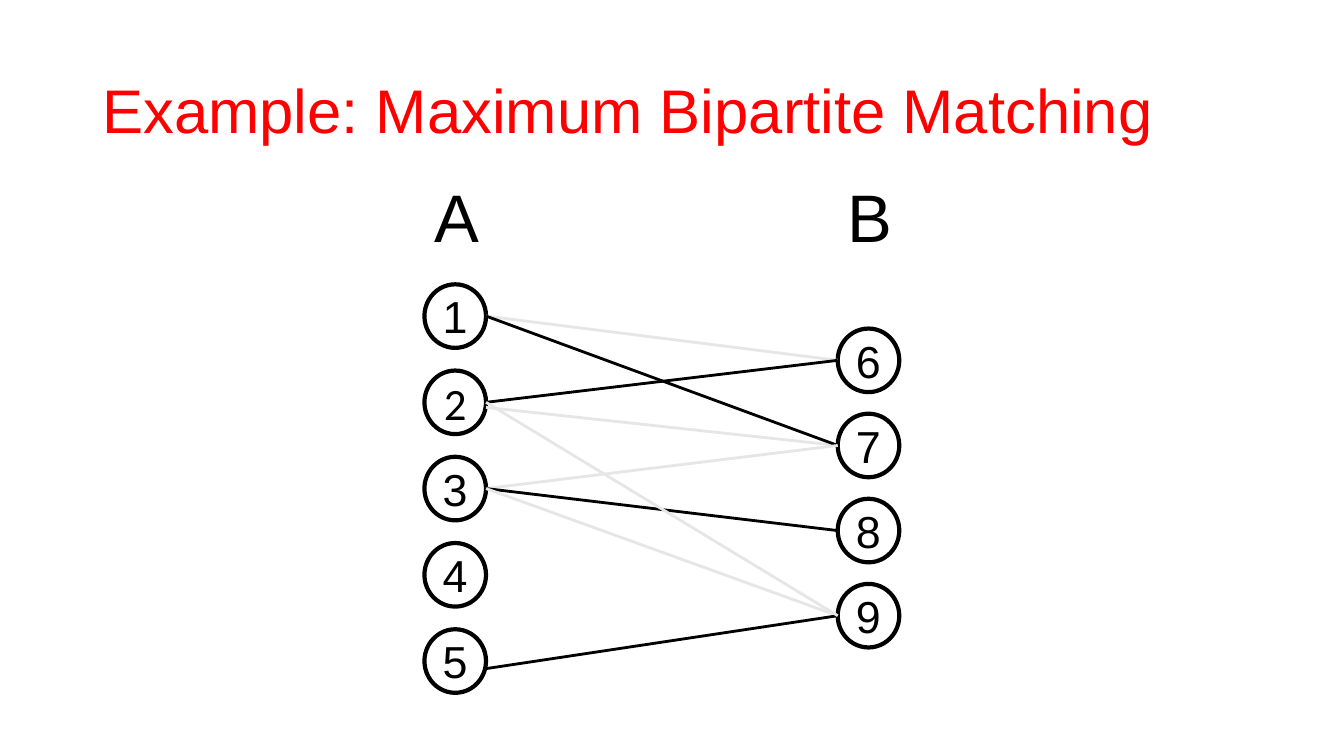
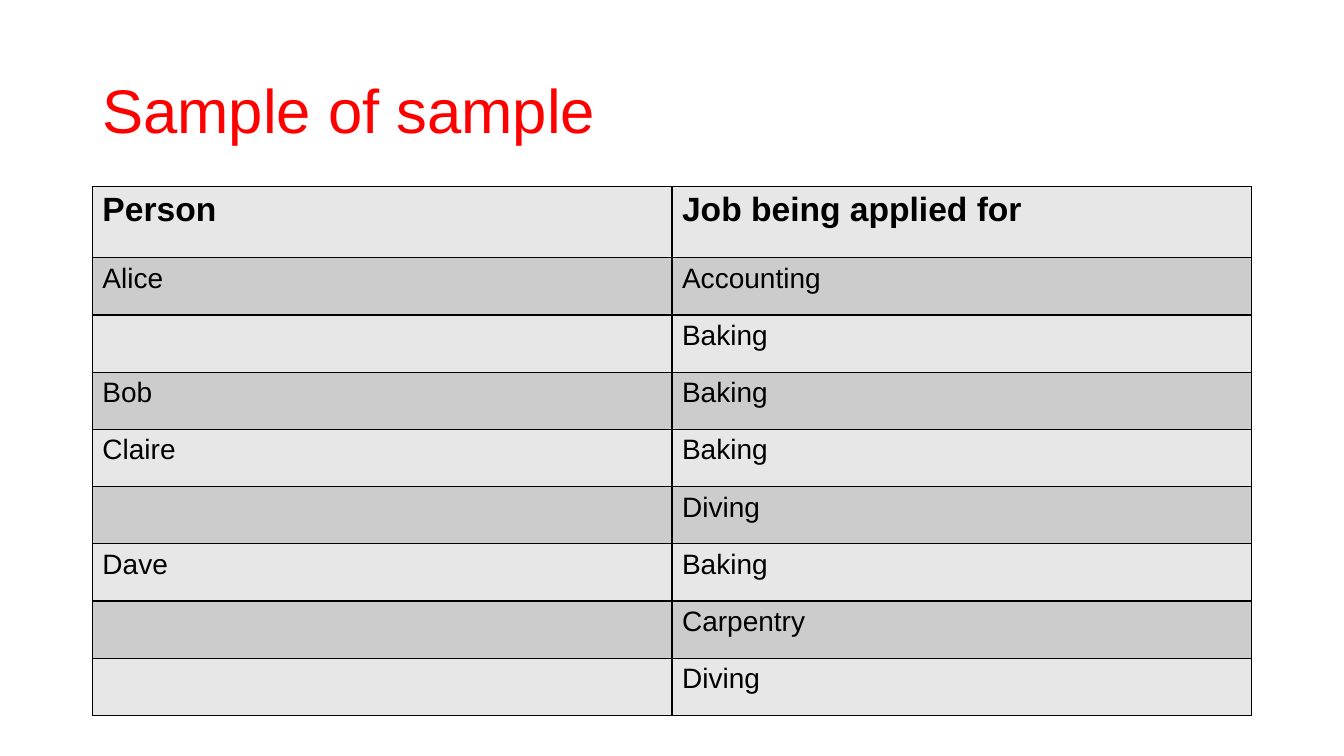
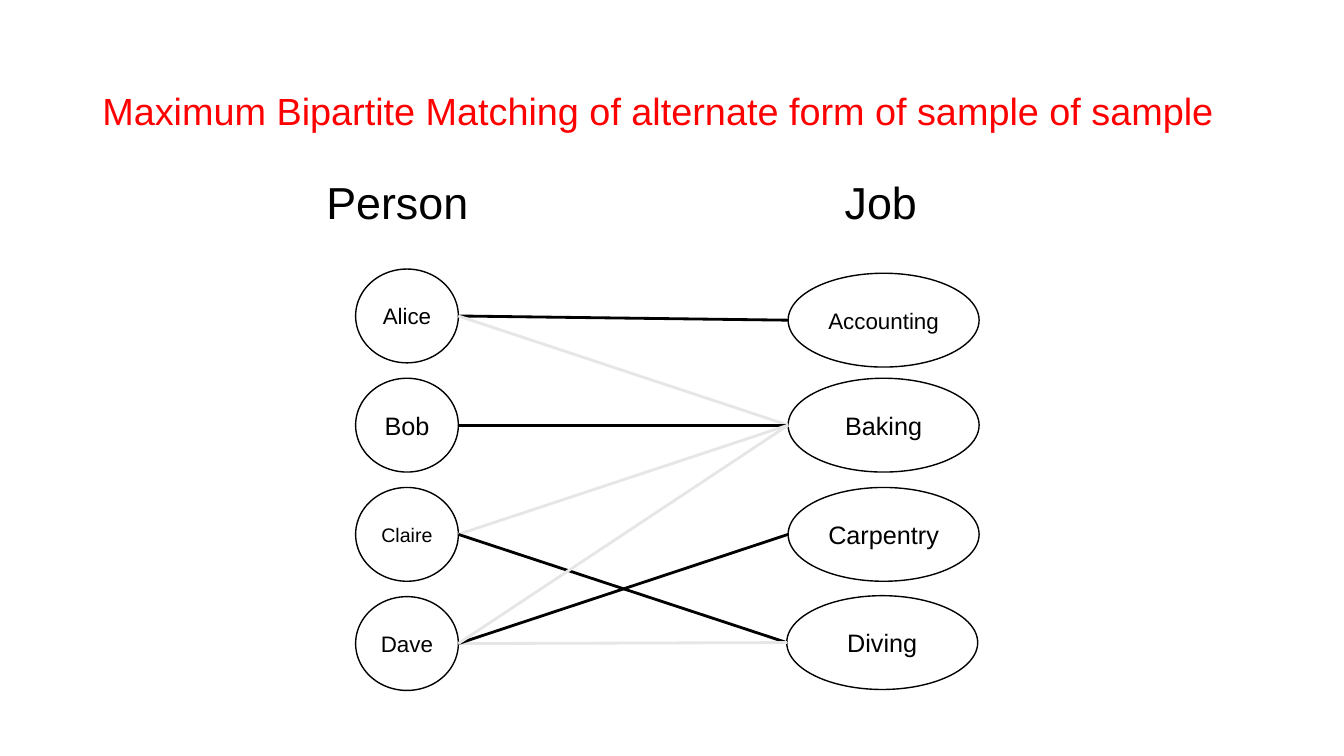
import pptx
import pptx.dml.color
import pptx.enum.shapes
import pptx.enum.text
import pptx.oxml.ns
import pptx.util
from lxml import etree

Pt = pptx.util.Pt
ANCHOR = pptx.enum.text.MSO_ANCHOR
ALIGN = pptx.enum.text.PP_ALIGN
qn = pptx.oxml.ns.qn

COLORS = {
    "title": "FF0000",
    "ink": "000000",
    "paper": "FFFFFF",
    "unmatched": "E7E6E6",
    "light_row": "E7E7E7",
    "dark_row": "CCCCCC",
}
FONT = "Arial"
SLIDE_SIZE = (960, 540)
TITLE_BOX = (66, 28.8, 828, 104.4)
EDGE_WIDTH = 2


def rgb(name):
    return pptx.dml.color.RGBColor.from_string(COLORS[name])


def points(*lengths):
    return [Pt(length) for length in lengths]


def apply_format(target, values):
    for attribute, value in values.items():
        setattr(target, attribute, value)


def write(frame, text, size, color="ink", font=FONT, bold=False, frame_format=None, paragraph_format=None):
    """Put one formatted run into a text frame."""
    apply_format(frame, {"word_wrap": True, **(frame_format or {})})
    paragraph = frame.paragraphs[0]
    apply_format(paragraph, paragraph_format or {})
    run = paragraph.add_run()
    run.text = text
    apply_format(run.font, {"name": font, "size": Pt(size), "bold": bold})
    run.font.color.rgb = rgb(color)


def add_titled_slide(deck, title, size=44):
    slide = deck.slides.add_slide(deck.slide_layouts[6])
    heading = slide.shapes.add_textbox(*points(*TITLE_BOX))
    write(heading.text_frame, title, size, "title",
          frame_format={"vertical_anchor": ANCHOR.MIDDLE},
          paragraph_format={"line_spacing": 0.9})
    return slide


# Bipartite graphs
def add_node(slide, box, label, size, font, outline):
    node = slide.shapes.add_shape(pptx.enum.shapes.MSO_SHAPE.OVAL, *points(*box))
    node.shadow.inherit = False
    node.fill.solid()
    node.fill.fore_color.rgb = rgb("paper")
    node.line.color.rgb = rgb("ink")
    node.line.width = Pt(outline)
    write(node.text_frame, label, size, font=font,
          frame_format={"vertical_anchor": ANCHOR.MIDDLE, "margin_left": 0, "margin_right": 0},
          paragraph_format={"alignment": ALIGN.CENTER})
    return node


def add_column(slide, box, column, heading_size, outline):
    """Place a heading and evenly spaced nodes; return the nodes by label."""
    left, top, width, height = box
    shift, heading_width, heading_height = column["heading_box"]
    heading = slide.shapes.add_textbox(*points(left + shift, top, heading_width, heading_height))
    write(heading.text_frame, column["heading"], heading_size)
    nodes = {}
    for index, (label, size, *font) in enumerate(column["nodes"]):
        dx, dy = column.get("nudges", {}).get(label, (0, 0))
        node_top = top + column["first"] + index * column["step"]
        nodes[label] = add_node(slide, (left + dx, node_top + dy, width, height),
                                label, size, font[0] if font else FONT, outline)
    return nodes


def add_edge(slide, start, end, matched, drop=0):
    edge = slide.shapes.add_connector(
        pptx.enum.shapes.MSO_CONNECTOR.STRAIGHT,
        start.left + start.width, start.top + start.height // 2 + Pt(drop),
        end.left, end.top + end.height // 2)
    edge.line.color.rgb = rgb("ink" if matched else "unmatched")
    edge.line.width = Pt(EDGE_WIDTH)
    etree.SubElement(edge._element.spPr, qn("a:effectLst"))


def add_graph(slide, origin, graph):
    left, top = origin
    nodes = {}
    for column in graph["columns"]:
        box = (left + column["offset"], top, *column["node_size"])
        nodes.update(add_column(slide, box, column, graph["heading_size"], graph["outline"]))
    for start, end, matched, *drop in graph["edges"]:
        add_edge(slide, nodes[start], nodes[end], matched, *drop)


# Table of applications
def style_cell(cell, fill):
    properties = cell._tc.get_or_add_tcPr()
    for side in ("lnL", "lnR", "lnT", "lnB"):
        border = etree.SubElement(properties, qn(f"a:{side}"), w=str(Pt(1)))
        solid = etree.SubElement(border, qn("a:solidFill"))
        etree.SubElement(solid, qn("a:srgbClr"), val=COLORS["ink"])
    cell.fill.solid()
    cell.fill.fore_color.rgb = rgb(fill)


def add_applications(slide, box, rows, header_height):
    height = box[3]
    table = slide.shapes.add_table(len(rows), len(rows[0]), *points(*box)).table
    apply_format(table, {"first_row": False, "horz_banding": False})
    body_height = (height - header_height) / (len(rows) - 1)
    for index, row in enumerate(rows):
        header = index == 0
        table.rows[index].height = Pt(header_height if header else body_height)
        for cell, text in zip(table.rows[index].cells, row):
            style_cell(cell, "dark_row" if index % 2 else "light_row")
            if text:
                write(cell.text_frame, text, 24 if header else 20, bold=header)


NUMBER_GRAPH = {
    "heading_size": 48,
    "outline": 3,
    "columns": [
        {"heading": "A", "heading_box": (0, 44, 65.5), "offset": 0, "node_size": (44, 45.4),
         "first": 81.4, "step": 61.6,
         "nodes": [("1", 32), ("2", 32, "Calibri"), ("3", 32), ("4", 32), ("5", 32)]},
        {"heading": "B", "heading_box": (0, 44, 65.5), "offset": 295.2, "node_size": (44, 45.4),
         "first": 113, "step": 60.8,
         "nodes": [(label, 32) for label in "6789"]},
    ],
    # start, end, matched, optional drop of the start point
    "edges": [
        ("1", "6", False), ("2", "7", False, 3.6), ("1", "7", True),
        ("3", "7", False), ("3", "8", True), ("3", "9", False),
        ("5", "9", True, 5.4), ("2", "6", True), ("2", "9", False),
    ],
}

APPLICATIONS = [
    ("Person", "Job being applied for"),
    ("Alice", "Accounting"),
    ("", "Baking"),
    ("Bob", "Baking"),
    ("Claire", "Baking"),
    ("", "Diving"),
    ("Dave", "Baking"),
    ("", "Carpentry"),
    ("", "Diving"),
]

JOB_GRAPH = {
    "heading_size": 32,
    "outline": 1,
    "columns": [
        {"heading": "Person", "heading_box": (-28, 131, 46), "offset": 0, "node_size": (73.4, 67),
         "first": 71.2, "step": 78,
         "nodes": [("Alice", 16), ("Bob", 18), ("Claire", 14), ("Dave", 16)]},
        {"heading": "Job", "heading_box": (33.2, 70.6, 46), "offset": 309, "node_size": (136.4, 67),
         "first": 71.2, "step": 78,
         "nodes": [("Accounting", 16), ("Baking", 18), ("Carpentry", 18), ("Diving", 18)],
         "nudges": {"Accounting": (0, 3), "Diving": (-1, -0.7)}},
    ],
    "edges": [
        ("Alice", "Accounting", True), ("Alice", "Baking", False), ("Bob", "Baking", True),
        ("Claire", "Baking", False), ("Claire", "Diving", True), ("Dave", "Diving", False),
        ("Dave", "Carpentry", True), ("Dave", "Baking", False),
    ],
}


def main():
    deck = pptx.Presentation()
    deck.slide_width, deck.slide_height = points(*SLIDE_SIZE)

    matching = add_titled_slide(deck, "Example: Maximum Bipartite Matching")
    add_graph(matching, (303.2, 121.7), NUMBER_GRAPH)

    sample = add_titled_slide(deck, "Sample of sample")
    add_applications(sample, (66, 133.2, 828, 378), APPLICATIONS, header_height=51)

    jobs = add_titled_slide(
        deck, "Maximum Bipartite Matching of alternate form of sample of sample", size=27)
    add_graph(jobs, (254, 121), JOB_GRAPH)

    deck.save("out.pptx")


if __name__ == "__main__":
    main()
